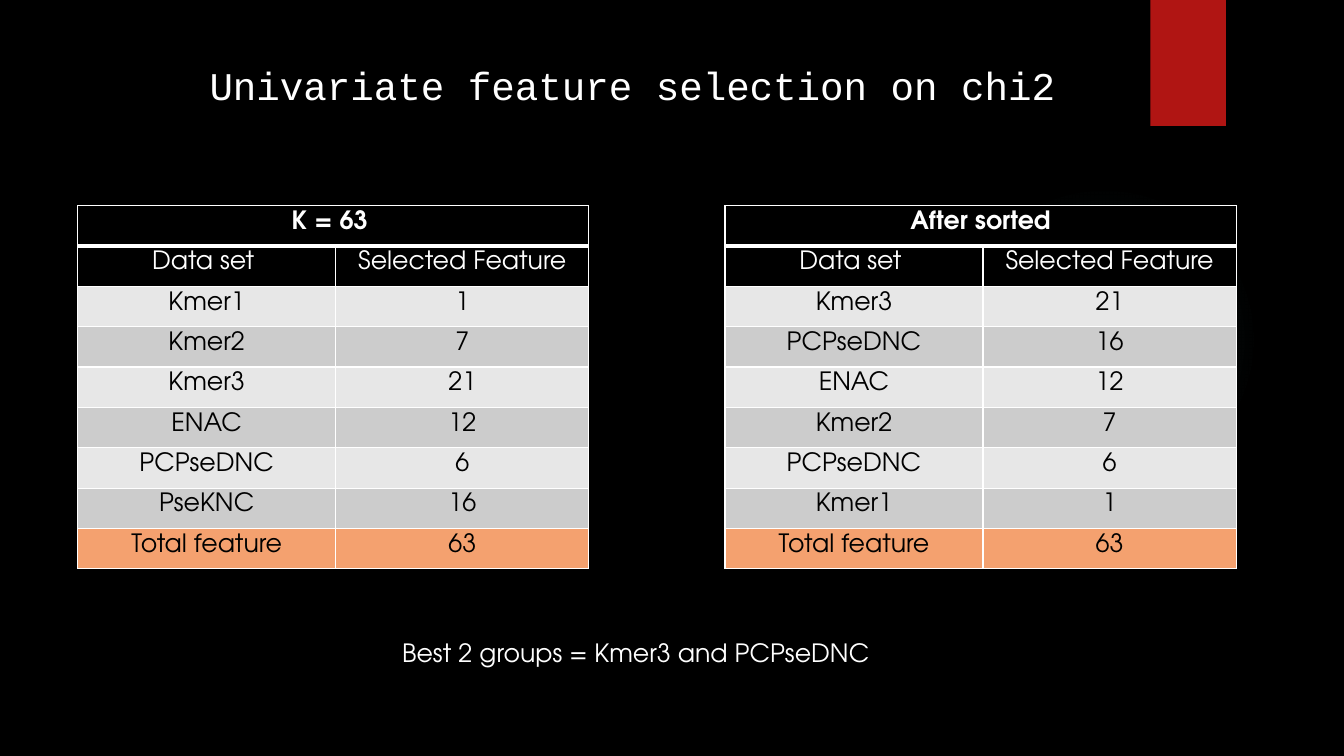
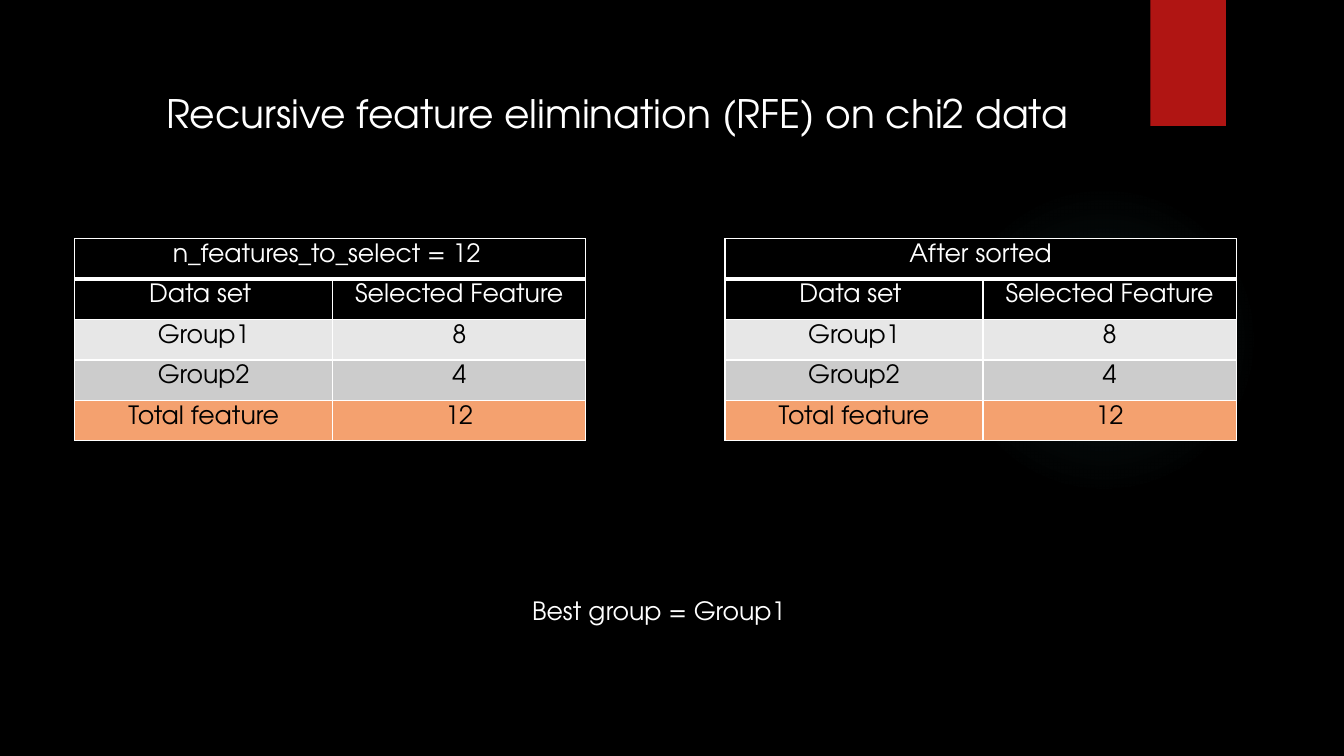
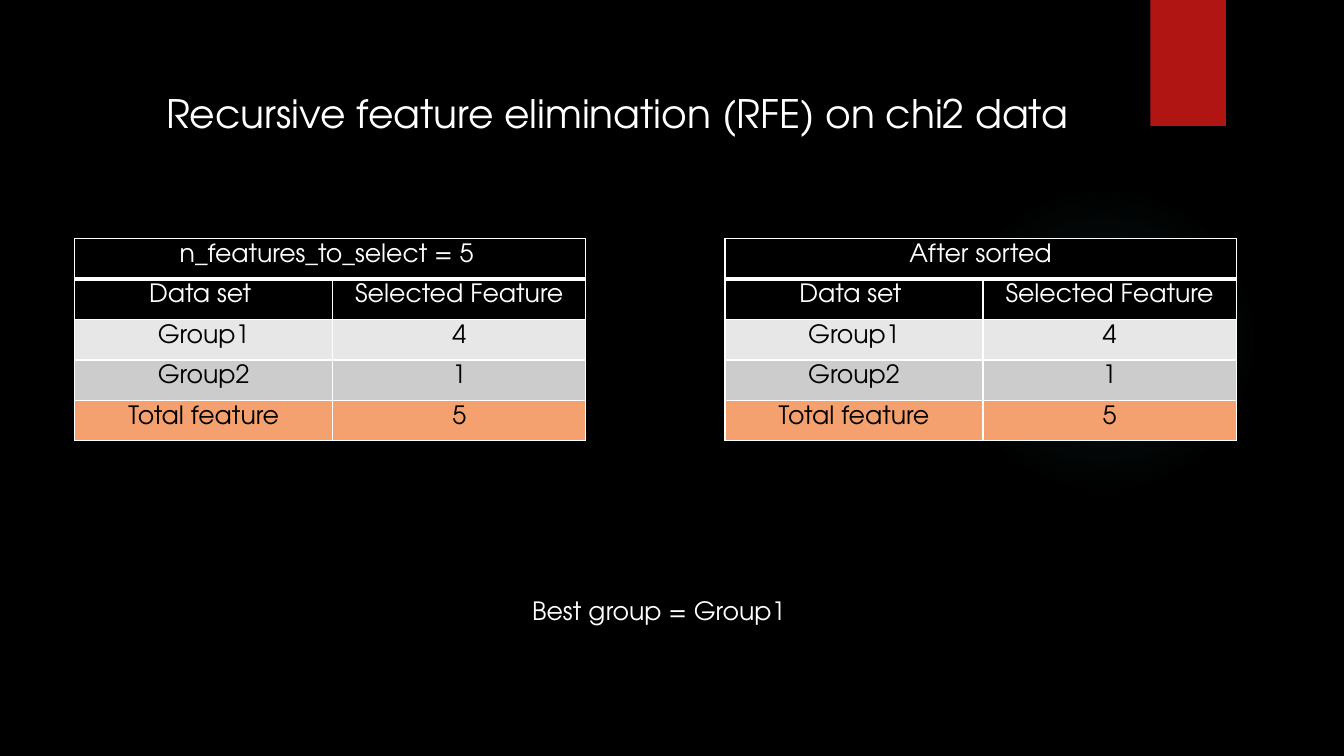
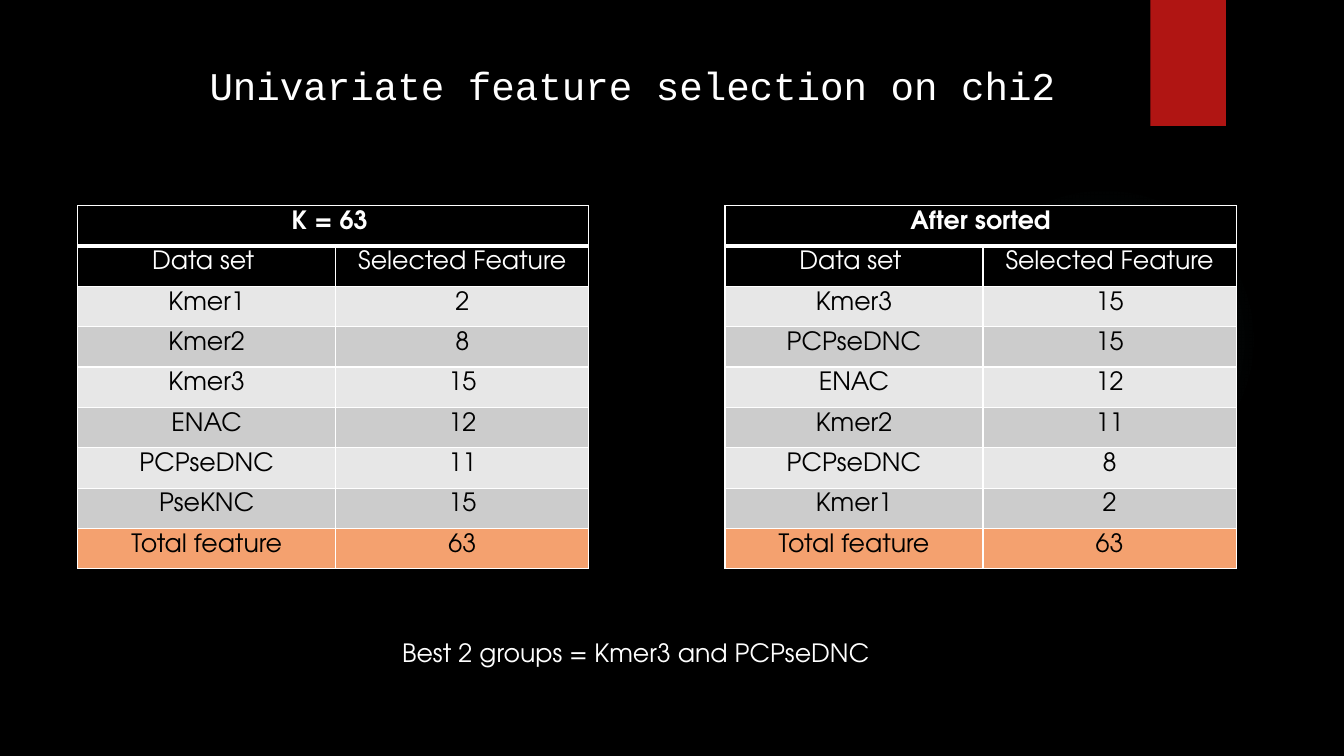
"""Builds four slides that compare feature selection results in paired tables."""
import pptx
import pptx.dml.color
import pptx.enum.shapes
import pptx.enum.text
import pptx.oxml
import pptx.oxml.ns
import pptx.util

Inches = pptx.util.Inches
BODY_FONT = "TeX Gyre Adventor"
WHITE, BLACK, RED, TEAL = "FFFFFF", "000000", "B01513", "50B9C1"
BANDS = ("E7E7E7", "CCCCCC")
TOTAL_FILL = "F4A16F"
COLUMN_WIDTHS = (2.56, 2.51)
RIGHT_TABLE_LEFT = 7.19
GLOW_STOPS = ((0, 7), (36, 6), (69, 0))

UNIVARIATE = {
    "title": "Univariate feature selection on chi2",
    "title_at": (1.98, 0.33, 8.66, 0.81),
    "title_font": "Courier New",
    "title_spacing": 1.5,
    "title_wrap": False,
    "table_left": 0.77,
    "table_top": 2.04,
    "table_height": 3.6,
    "bold_header": True,
    "labels": ("Kmer1", "Kmer2", "Kmer3", "ENAC", "PCPseDNC", "PseKNC"),
    "sorted_labels": ("Kmer3", "PCPseDNC", "ENAC", "Kmer2", "PCPseDNC", "Kmer1"),
    "result": "Best 2 groups = Kmer3 and PCPseDNC",
    "result_at": (3.89, 6.27, 5.64, 0.4),
}
RECURSIVE = {
    "title": "Recursive feature elimination (RFE) on chi2 data",
    "title_at": (1.55, 0.84, 9.72, 0.57),
    "title_font": BODY_FONT,
    "title_spacing": None,
    "title_wrap": True,
    "table_left": 0.74,
    "table_top": 2.37,
    "table_height": 1.88,
    "bold_header": False,
    "labels": ("Group1", "Group2"),
    "sorted_labels": ("Group1", "Group2"),
    "result": "Best group = Group1",
    "result_at": (5.18, 5.86, 5.64, 0.4),
}
PAGES = (
    (UNIVARIATE, "K = 63 ", (1, 7, 21, 12, 6, 16)),
    (RECURSIVE, "n_features_to_select = 12 ", (8, 4)),
    (RECURSIVE, "n_features_to_select = 5 ", (4, 1)),
    (UNIVARIATE, "K = 63 ", (2, 8, 15, 12, 11, 15)),
)


def rgb(value):
    return pptx.dml.color.RGBColor.from_string(value)


def style_runs(para, size, color, font=BODY_FONT, bold=False):
    for span in para.runs:
        span.font.size = pptx.util.Pt(size)
        span.font.name = font
        span.font.bold = bold
        span.font.color.rgb = rgb(color)


def add_plain_shape(page, kind, at):
    shape = page.shapes.add_shape(kind, *map(Inches, at))
    shape.shadow.inherit = False
    shape.line.fill.background()
    return shape


def add_decor(page):
    kinds = pptx.enum.shapes.MSO_SHAPE
    glow = add_plain_shape(page, kinds.OVAL, (9.41, 1.83, 3.08, 3.08))
    stops = "".join(
        f'<a:gs pos="{place * 1000}"><a:srgbClr val="{TEAL}">'
        f'<a:alpha val="{alpha * 1000}"/></a:srgbClr></a:gs>'
        for place, alpha in GLOW_STOPS
    )
    gradient = pptx.oxml.parse_xml(
        f'<a:gradFill {pptx.oxml.ns.nsdecls("a")}><a:gsLst>{stops}</a:gsLst>'
        '<a:path path="circle"><a:fillToRect l="50000" t="50000" r="50000" b="50000"/>'
        "</a:path></a:gradFill>"
    )
    glow.element.spPr.find(pptx.oxml.ns.qn("a:prstGeom")).addnext(gradient)
    ribbon = add_plain_shape(page, kinds.RECTANGLE, (11.41, 0, 0.75, 1.25))
    ribbon.fill.solid()
    ribbon.fill.fore_color.rgb = rgb(RED)


def add_label(page, text, at, size, font=BODY_FONT, spacing=None, wrap=True):
    box = page.shapes.add_textbox(*map(Inches, at))
    frame = box.text_frame
    frame.text = text
    frame.word_wrap = wrap
    frame.auto_size = pptx.enum.text.MSO_AUTO_SIZE.SHAPE_TO_FIT_TEXT
    para = frame.paragraphs[0]
    para.line_spacing = spacing
    style_runs(para, size, WHITE, font)


def set_borders(cell, row):
    widths = {"L": 1, "R": 1, "T": 3 if row == 1 else 1, "B": 3 if row == 0 else 1}
    properties = cell._tc.get_or_add_tcPr()
    for side, width in widths.items():
        properties.append(pptx.oxml.parse_xml(
            f'<a:ln{side} {pptx.oxml.ns.nsdecls("a")} w="{pptx.util.Pt(width)}">'
            f'<a:solidFill><a:srgbClr val="{WHITE}"/></a:solidFill></a:ln{side}>'
        ))


def row_fill(row, last):
    if row < 2:
        return BLACK
    return TOTAL_FILL if row == last else BANDS[row % 2]


def add_feature_table(page, layout, left, header, labels, values):
    rows = [
        (header, ""),
        ("Data set ", "Selected Feature"),
        *zip(labels, values),
        ("Total feature", sum(values)),
    ]
    last = len(rows) - 1
    at = (left, layout["table_top"], sum(COLUMN_WIDTHS), layout["table_height"])
    table = page.shapes.add_table(len(rows), 2, *map(Inches, at)).table
    table.first_row = table.horz_banding = False
    for column, width in zip(table.columns, COLUMN_WIDTHS):
        column.width = Inches(width)
    for row, texts in enumerate(rows):
        for column, text in enumerate(texts):
            cell = table.cell(row, column)
            set_borders(cell, row)
            cell.fill.solid()
            cell.fill.fore_color.rgb = rgb(row_fill(row, last))
            cell.text = str(text)
            para = cell.text_frame.paragraphs[0]
            para.alignment = pptx.enum.text.PP_ALIGN.CENTER
            color = WHITE if row < 2 else BLACK
            style_runs(para, 18, color, bold=row == 0 and layout["bold_header"])
    table.cell(0, 0).merge(table.cell(0, 1))


def main():
    deck = pptx.Presentation()
    deck.slide_width, deck.slide_height = Inches(13.33), Inches(7.5)
    backdrop = deck.slide_master.background.fill
    backdrop.solid()
    backdrop.fore_color.rgb = rgb(BLACK)
    for layout, header, values in PAGES:
        page = deck.slides.add_slide(deck.slide_layouts[6])
        add_decor(page)
        add_label(page, layout["title"], layout["title_at"], 28, layout["title_font"],
                  layout["title_spacing"], layout["title_wrap"])
        add_feature_table(page, layout, layout["table_left"], header,
                          layout["labels"], values)
        add_feature_table(page, layout, RIGHT_TABLE_LEFT, "After sorted",
                          layout["sorted_labels"], sorted(values, reverse=True))
        add_label(page, layout["result"], layout["result_at"], 18)
    deck.save("out.pptx")


if __name__ == "__main__":
    main()
